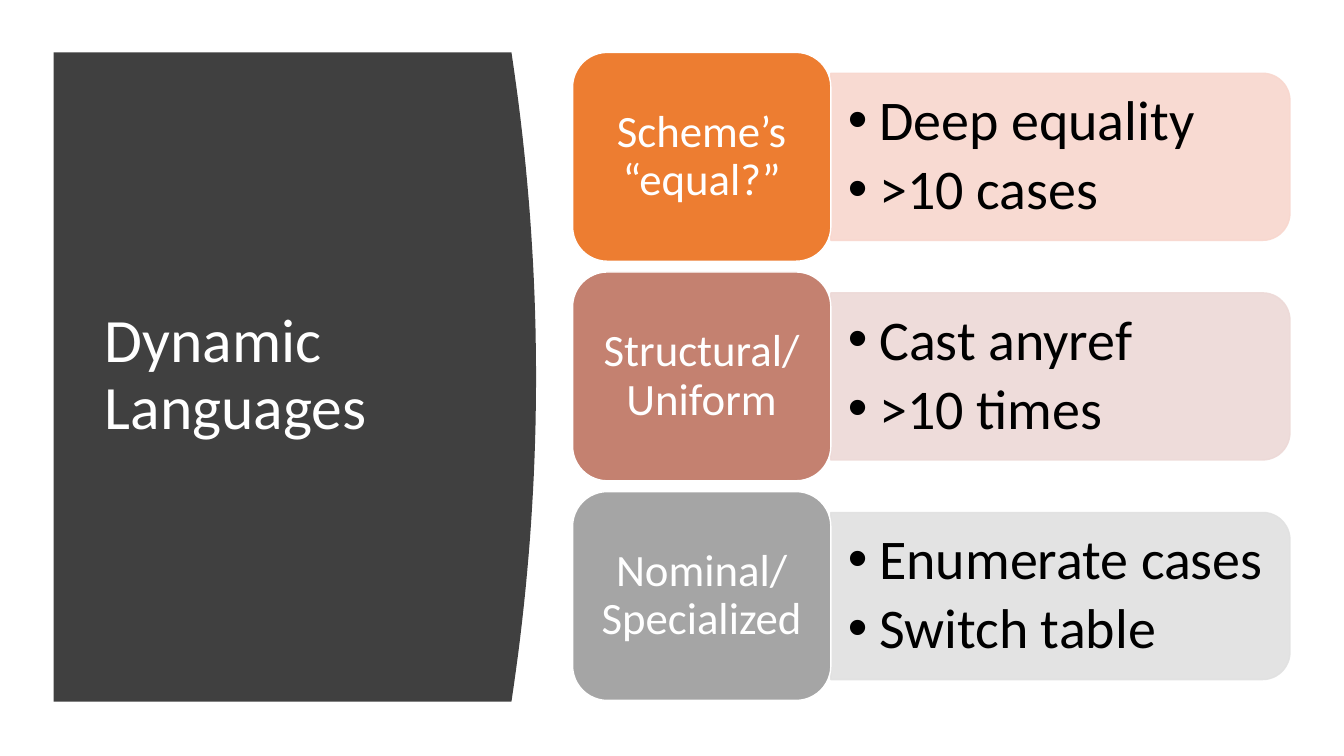
import math

import lxml.etree
import pptx
import pptx.dml.color
import pptx.enum.shapes
import pptx.enum.text
import pptx.oxml.ns
import pptx.util

Cm = pptx.util.Cm
Pt = pptx.util.Pt
RGBColor = pptx.dml.color.RGBColor
ALIGN = pptx.enum.text.PP_ALIGN
qn = pptx.oxml.ns.qn

FONT = "Calibri"
WHITE = RGBColor(0xFF, 0xFF, 0xFF)
BLACK = RGBColor(0, 0, 0)
CHARCOAL = RGBColor(0x40, 0x40, 0x40)
ORANGE = RGBColor(0xED, 0x7D, 0x31)
PEACH = RGBColor(0xF8, 0xD7, 0xCE)
CLAY = RGBColor(0xC4, 0x81, 0x70)
ROSE = RGBColor(0xED, 0xD9, 0xD7)
GRAY = RGBColor(0xA5, 0xA5, 0xA5)
SILVER = RGBColor(0xE1, 0xE1, 0xE1)

APPROACHES = [
    (["Scheme’s “equal?”"], ORANGE, ["Deep equality", ">10 cases"], PEACH),
    (["Structural/", "Uniform"], CLAY, ["Cast anyref", ">10 times"], ROSE),
    (["Nominal/", "Specialized"], GRAY, ["Enumerate cases", "Switch table"], SILVER),
]


def outline(slide, points):
    corners = [(Cm(x), Cm(y)) for x, y in points]
    builder = slide.shapes.build_freeform(*corners[0])
    builder.add_line_segments(corners[1:], close=True)
    return builder.convert_to_shape()


def paint(shape, fill, line=None):
    shape.shadow.inherit = False
    shape.fill.solid()
    shape.fill.fore_color.rgb = fill
    if line is None:
        shape.line.fill.background()
    else:
        shape.line.color.rgb = line
        shape.line.width = Pt(1)


def set_frame(frame, left, top, right, bottom):
    frame.word_wrap = True
    frame.vertical_anchor = pptx.enum.text.MSO_ANCHOR.MIDDLE
    frame.margin_left, frame.margin_top = Cm(left), Cm(top)
    frame.margin_right, frame.margin_bottom = Cm(right), Cm(bottom)


def write(paragraph, lines, size, color, align):
    paragraph.alignment = align
    paragraph.line_spacing = 0.9
    for index, line in enumerate(lines):
        if index:
            paragraph.add_line_break()
        run = paragraph.add_run()
        run.text = line
        run.font.name = FONT
        run.font.size = Pt(size)
        run.font.color.rgb = color


def add_bullet(paragraph):
    properties = paragraph._p.get_or_add_pPr()
    properties.set("marL", str(Cm(0.79)))
    properties.set("indent", str(Cm(-0.79)))
    lxml.etree.SubElement(properties, qn("a:buFont")).set("typeface", "Arial")
    lxml.etree.SubElement(properties, qn("a:buChar")).set("char", "•")


def title_panel(slide, left, top, width, height):
    bulge, steps = 0.62, 40
    edge = [
        (left + width - bulge * (2 * i / steps - 1) ** 2, top + height * i / steps)
        for i in range(steps + 1)
    ]
    panel = outline(slide, [(left, top), *edge, (left, top + height)])
    paint(panel, CHARCOAL)
    slide.shapes._spTree.insert(2, panel._element)

    title = slide.shapes.title
    title.left, title.top = Cm(left + 1.04), Cm(top + 1.5)
    title.width, title.height = Cm(9.5), Cm(height - 3.05)
    set_frame(title.text_frame, 0.25, 0.13, 0.25, 0.13)
    write(title.text_frame.paragraphs[0], ["Dynamic Languages"], 44, WHITE, ALIGN.LEFT)


def detail_card(slide, left, top, width, height, details, color):
    radius, steps = 0.69, 12
    right, bottom = left + width, top + height
    turns = [math.pi / 2 * i / steps for i in range(steps + 1)]
    upper = [
        (right - radius + radius * math.sin(t), top + radius - radius * math.cos(t))
        for t in turns
    ]
    lower = [(x, top + bottom - y) for x, y in reversed(upper)]
    card = outline(slide, [(left, top), *upper, *lower, (left, bottom)])
    paint(card, color, color)
    for color_node in card._element.spPr.iter(qn("a:srgbClr")):
        lxml.etree.SubElement(color_node, qn("a:alpha")).set("val", "90000")

    frame = card.text_frame
    set_frame(frame, 0.43, 0.41, 0.64, 0.41)
    for index, detail in enumerate(details):
        paragraph = frame.add_paragraph() if index else frame.paragraphs[0]
        paragraph.level = 1
        write(paragraph, [detail], 40, BLACK, ALIGN.LEFT)
        paragraph.space_after = Pt(6)
        add_bullet(paragraph)


def approach_label(slide, left, top, width, height, lines, color):
    label = slide.shapes.add_shape(
        pptx.enum.shapes.MSO_SHAPE.ROUNDED_RECTANGLE,
        Cm(left), Cm(top), Cm(width), Cm(height),
    )
    paint(label, color, WHITE)
    set_frame(label.text_frame, 0.33, 0.18, 0.33, 0.18)
    write(label.text_frame.paragraphs[0], lines, 32, WHITE, ALIGN.CENTER)


def approach_list(slide, left, top, width, height):
    gap, label_width = 0.27, 6.51
    row_height = (height - gap * (len(APPROACHES) - 1)) / len(APPROACHES)
    card_height = row_height * 0.8
    for row, (name, color, details, tint) in enumerate(APPROACHES):
        row_top = top + row * (row_height + gap)
        detail_card(
            slide, left + label_width, row_top + (row_height - card_height) / 2,
            width - label_width, card_height, details, tint,
        )
        approach_label(slide, left, row_top, label_width, row_height, name, color)


deck = pptx.Presentation()
deck.slide_width, deck.slide_height = Cm(33.87), Cm(19.05)
languages_slide = deck.slides.add_slide(deck.slide_layouts[5])
title_panel(languages_slide, 1.35, 1.32, 12.16, 16.36)
approach_list(languages_slide, 14.43, 1.32, 18.08, 16.33)
deck.save("out.pptx")
